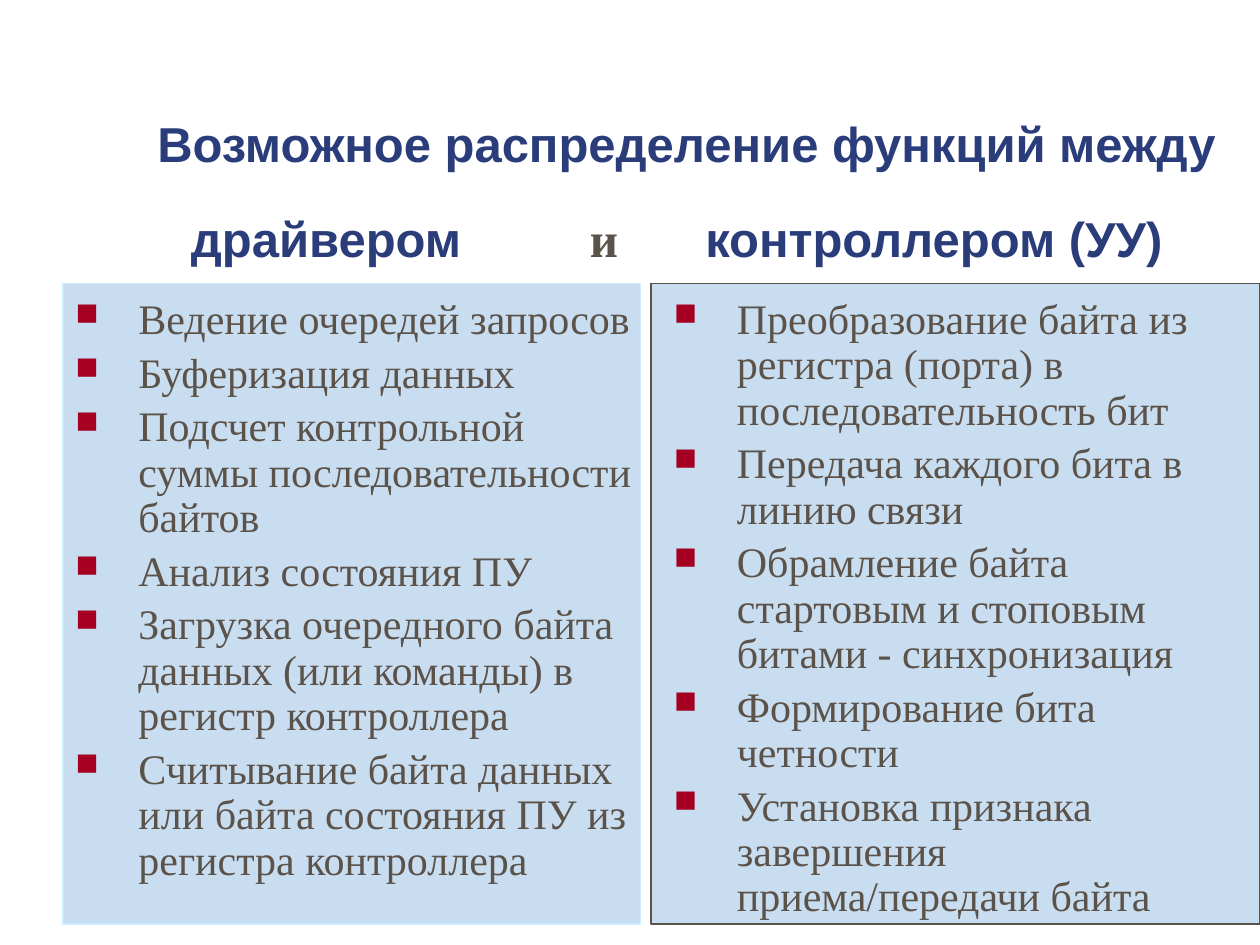
from dataclasses import dataclass

from lxml.etree import SubElement
from pptx import Presentation
from pptx.dml.color import RGBColor
from pptx.enum.shapes import MSO_SHAPE
from pptx.enum.text import MSO_ANCHOR
from pptx.oxml.ns import qn
from pptx.util import Inches, Pt

COLORS = {
    "panel": "C9DDF1",
    "light": "CCECFF",
    "text": "5B5249",
    "heading": "2A3D7A",
    "bullet": "A50021",
}
SANS, SERIF = "Arial", "Times New Roman"
COLS, ROWS = 120, 90  # slide grid, twelve cells to the inch


@dataclass(frozen=True)
class Box:
    col: float
    row: float
    cols: float
    rows: float


@dataclass(frozen=True)
class Heading:
    text: str
    box: Box
    font: str = SANS
    color: str = "heading"
    anchor: MSO_ANCHOR = MSO_ANCHOR.TOP


@dataclass(frozen=True)
class Column:
    panel: Box
    line: str
    body: Box
    items: tuple[str, ...]


HEADINGS = (
    Heading("Возможное распределение функций между", Box(13.8, 9, 106.2, 8),
            anchor=MSO_ANCHOR.BOTTOM),
    Heading("драйвером", Box(17, 19.3, 34.5, 7)),
    Heading("контроллером (УУ)", Box(66, 19.3, 52, 7)),
    Heading("и", Box(55, 19.3, 10, 7), SERIF, "text"),
)

COLUMNS = (
    Column(Box(62, 27, 58, 61), "text", Box(63, 27.8, 57, 60), (
        "Преобразование байта из регистра (порта) в последовательность бит",
        "Передача каждого бита в линию связи",
        "Обрамление байта стартовым и стоповым\nбитами - синхронизация",
        "Формирование бита четности",
        "Установка признака завершения\nприема/передачи байта",
    )),
    Column(Box(6, 27, 55, 61), "light", Box(6, 27.8, 57, 60), (
        "Ведение очередей запросов",
        "Буферизация данных",
        "Подсчет контрольной суммы последовательности байтов",
        "Анализ состояния ПУ",
        "Загрузка очередного байта данных (или команды) в регистр контроллера",
        "Считывание байта данных или байта состояния ПУ из регистра контроллера",
    )),
)

prs = Presentation()
prs.slide_width, prs.slide_height = Inches(10), Inches(7.5)
s = prs.slides.add_slide(prs.slide_layouts[6])


def place(box: Box) -> tuple[int, int, int, int]:
    w, h = prs.slide_width / COLS, prs.slide_height / ROWS
    return (round(box.col * w), round(box.row * h),
            round(box.cols * w), round(box.rows * h))


def rgb(name: str) -> RGBColor:
    return RGBColor.from_string(COLORS[name])


def add_run(p, text: str, font: str, size: float, color: str, bold: bool) -> None:
    r = p.add_run()
    r.text = text
    r.font.name, r.font.size, r.font.bold = font, Pt(size), bold
    r.font.color.rgb = rgb(color)


def add_text_frame(box: Box):
    tf = s.shapes.add_textbox(*place(box)).text_frame
    tf.word_wrap = True
    return tf


def add_bullet(p) -> None:
    pPr = p._p.get_or_add_pPr()
    pPr.set("marL", str(Inches(0.5)))
    pPr.set("indent", str(-Inches(0.5)))
    clr = SubElement(pPr, qn("a:buClr"))
    SubElement(clr, qn("a:srgbClr"), val=COLORS["bullet"])
    SubElement(pPr, qn("a:buSzPct"), val="75000")
    SubElement(pPr, qn("a:buChar"), char="■")


def draw_panel(box: Box, line: str) -> None:
    sp = s.shapes.add_shape(MSO_SHAPE.RECTANGLE, *place(box))
    sp.shadow.inherit = False
    sp.fill.solid()
    sp.fill.fore_color.rgb = rgb("panel")
    sp.line.color.rgb = rgb(line)
    sp.line.width = Pt(0.75)


def draw_heading(h: Heading) -> None:
    tf = add_text_frame(h.box)
    tf.vertical_anchor = h.anchor
    add_run(tf.paragraphs[0], h.text, h.font, 28, h.color, True)


def draw_list(column: Column) -> None:
    tf = add_text_frame(column.body)
    for i, item in enumerate(column.items):
        p = tf.add_paragraph() if i else tf.paragraphs[0]
        add_bullet(p)
        p.line_spacing = 0.9
        if i:
            p.space_before = Pt(4.8)
        for j, part in enumerate(item.split("\n")):
            if j:
                p.add_line_break()
            add_run(p, part, SERIF, 24, "text", False)


# Panels behind the lists
for column in COLUMNS:
    draw_panel(column.panel, column.line)

# Title and column headings
for heading in HEADINGS:
    draw_heading(heading)

# Bulleted lists
for column in COLUMNS:
    draw_list(column)

prs.save("out.pptx")
